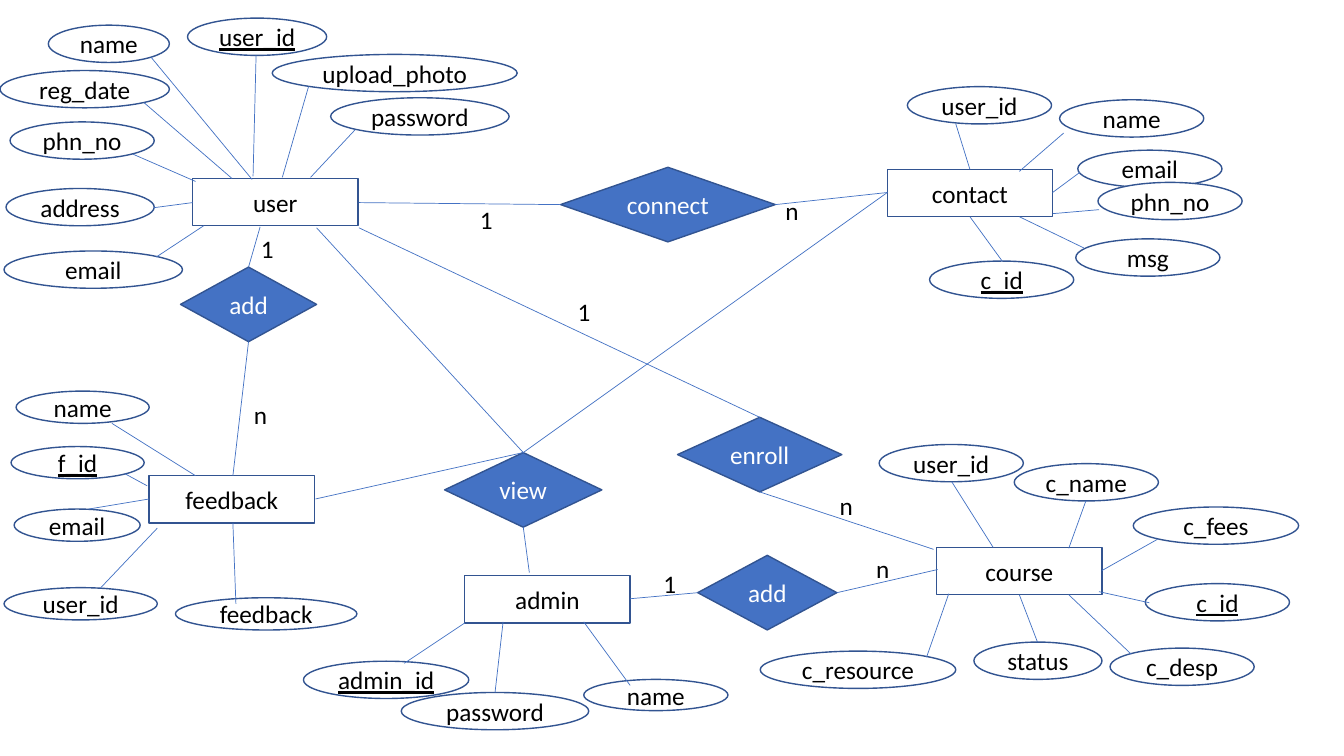
from pptx import Presentation
from pptx.dml.color import RGBColor
from pptx.enum.shapes import MSO_CONNECTOR, MSO_SHAPE as Shape
from pptx.enum.text import MSO_ANCHOR, PP_ALIGN
from pptx.oxml.ns import qn
from pptx.util import Inches, Pt
from lxml.etree import SubElement

COLORS = {"paper": "FFFFFF", "ink": "000000", "edge": "325491", "accent": "4472C4"}
FONT = {"name": "Calibri", "size": Pt(18)}
ENTITY_W, ENTITY_H, DIAMOND_H, LABEL_H = 1.64, 0.47, 0.74, 0.4
KEYS = {("user", "user_id"), ("feedback", "f_id"), ("contact", "c_id"),
        ("admin", "admin_id"), ("course", "c_id")}

# Entities: (left, top), attribute height,
# attributes: name, left, top, width, line end at attribute, line end at entity
ENTITIES = {
    "user": ((1.91, 1.77), 0.37, [
        ("reg_date", 0, 0.7, 1.68, (1.43, 1.02), (2.3, 1.77)),
        ("phn_no", 0.1, 1.21, 1.43, (1.32, 1.53), (1.94, 1.8)),
        ("address", 0.06, 1.87, 1.47, (1.53, 2.06), (1.91, 2.01)),
        ("email", 0.04, 2.49, 1.77, (1.55, 2.55), (2.02, 2.24)),
        ("name", 0.48, 0.25, 1.2, (1.5, 0.57), (2.5, 1.78)),
        ("upload_photo", 2.7, 0.54, 2.43, (3.06, 0.86), (2.8, 1.76)),
        ("user_id", 1.86, 0.18, 1.38, (2.54, 0.55), (2.51, 1.75)),
        ("password", 3.28, 0.97, 1.77, (3.52, 1.29), (3.08, 1.76)),
    ]),
    "contact": ((8.8, 1.68), 0.37, [
        ("user_id", 9, 0.86, 1.43, (9.48, 1.23), (9.62, 1.68)),
        ("name", 10.51, 0.99, 1.43, (10.55, 1.32), (10.11, 1.7)),
        ("msg", 10.67, 2.37, 1.43, (10.75, 2.46), (10.11, 2.15)),
        ("email", 10.69, 1.49, 1.43, (10.71, 1.71), (10.44, 1.91)),
        ("phn_no", 10.89, 1.81, 1.43, (10.9, 2.08), (10.44, 2.12)),
        ("c_id", 9.22, 2.59, 1.43, (9.94, 2.59), (9.62, 2.15)),
    ]),
    "feedback": ((1.48, 4.72), 0.32, [
        ("name", 0.16, 3.88, 1.32, (1.11, 4.2), (1.94, 4.72)),
        ("f_id", 0.11, 4.43, 1.32, (1.24, 4.7), (1.46, 4.82)),
        ("email", 0.14, 5.05, 1.25, (0.88, 5.05), (1.48, 4.95)),
        ("user_id", 0.04, 5.83, 1.52, (1, 5.83), (1.56, 5.24)),
        ("feedback", 1.74, 5.93, 1.8, (2.34, 5.99), (2.31, 5.19)),
    ]),
    "admin": ((4.61, 5.71), 0.37, [
        ("name", 5.79, 6.74, 1.43, (6.25, 6.8), (5.79, 6.17)),
        ("password", 3.98, 6.87, 1.86, (4.91, 6.87), (4.99, 6.17)),
        ("admin_id", 3.01, 6.56, 1.64, (4.01, 6.58), (4.61, 6.18)),
    ]),
    "course": ((9.29, 5.43), 0.37, [
        ("c_name", 10.06, 4.6, 1.43, (10.77, 4.97), (10.6, 5.44)),
        ("status", 9.66, 6.37, 1.27, (10.29, 6.37), (10.11, 5.9)),
        ("c_fees", 11.24, 5.03, 1.64, (11.48, 5.35), (10.93, 5.66)),
        ("user_id", 8.72, 4.41, 1.43, (9.44, 4.78), (9.85, 5.43)),
        ("c_id", 11.36, 5.79, 1.43, (11.4, 5.98), (10.9, 5.87)),
        ("c_resource", 7.54, 6.46, 1.94, (9.19, 6.52), (9.41, 5.89)),
        ("c_desp", 11.01, 6.43, 1.43, (11.22, 6.49), (10.6, 5.9)),
    ]),
}
LOW_ATTRIBUTES = {("admin", "name"): 0.31}

# Relations: name, left, top, width, links as (corner, line end at entity)
RELATIONS = [
    ("add", 1.79, 2.65, 1.35, [("top", (2.58, 2.25)), ("bottom", (2.31, 4.72))]),
    ("connect", 5.56, 1.66, 2.13, [("left", (3.56, 2.01)), ("right", (8.8, 1.91))]),
    ("view", 4.41, 4.49, 1.56, [("top", (3.13, 4.95)), ("top", (3.14, 2.26)),
                                ("top", (8.8, 1.91)), ("bottom", (5.25, 5.68))]),
    ("enroll", 6.72, 4.14, 1.63, [("top", (3.56, 2.26)), ("bottom", (9.26, 5.45))]),
    ("add", 6.92, 5.51, 1.38, [("left", (6.25, 5.94)), ("right", (9.3, 5.65))]),
]
CORNERS = {"top": (0.5, 0), "bottom": (0.5, 1), "left": (0, 0.5), "right": (1, 0.5)}

# Cardinalities: text, left, top, width
CARDINALITIES = [
    ("1", 2.49, 2.27, 0.28), ("1", 4.66, 1.98, 0.28), ("n", 7.69, 1.89, 0.28),
    ("n", 2.42, 3.91, 0.28), ("1", 6.48, 5.59, 0.35), ("n", 8.59, 5.44, 0.32),
    ("1", 5.63, 2.89, 0.28), ("n", 8.23, 4.82, 0.28),
]


def color(name):
    return RGBColor.from_string(COLORS[name])


def write(sp, text, ink="ink", underline=None):
    r = sp.text_frame.paragraphs[0].add_run()
    r.text = text
    for key, value in {**FONT, "underline": underline}.items():
        setattr(r.font, key, value)
    r.font.color.rgb = color(ink)


def add_node(s, kind, text, box, fill="paper", ink="ink", underline=None):
    sp = s.shapes.add_shape(kind, *map(Inches, box))
    sp.shadow.inherit = False
    sp.fill.solid()
    sp.fill.fore_color.rgb = color(fill)
    sp.line.color.rgb = color("edge")
    sp.line.width = Pt(1)
    sp.text_frame.vertical_anchor = MSO_ANCHOR.MIDDLE
    sp.text_frame.paragraphs[0].alignment = PP_ALIGN.CENTER
    write(sp, text, ink, underline)


def add_link(s, start, end):
    line = s.shapes.add_connector(MSO_CONNECTOR.STRAIGHT, *map(Inches, (*start, *end)))
    line.line.color.rgb = color("accent")
    line.line.width = Pt(0.5)
    SubElement(line._element.spPr, qn("a:effectLst"))


def main():
    prs = Presentation()
    prs.slide_width, prs.slide_height = Inches(13.33), Inches(7.5)
    s = prs.slides.add_slide(prs.slide_layouts[6])
    links = []

    # Entities and their attributes
    for entity, (corner, height, attributes) in ENTITIES.items():
        add_node(s, Shape.RECTANGLE, entity, (*corner, ENTITY_W, ENTITY_H))
        for name, left, top, width, start, end in attributes:
            h = LOW_ATTRIBUTES.get((entity, name), height)
            add_node(s, Shape.OVAL, name, (left, top, width, h),
                     underline=(entity, name) in KEYS or None)
            links.append((start, end))

    # Relations
    for name, left, top, width, ends in RELATIONS:
        add_node(s, Shape.FLOWCHART_DECISION, name, (left, top, width, DIAMOND_H),
                 "accent", "paper")
        for side, end in ends:
            x, y = CORNERS[side]
            links.append(((left + x * width, top + y * DIAMOND_H), end))

    # Lines
    for start, end in links:
        add_link(s, start, end)

    # Cardinalities
    for text, left, top, width in CARDINALITIES:
        box = s.shapes.add_textbox(*map(Inches, (left, top, width, LABEL_H)))
        box.text_frame.word_wrap = True
        write(box, text)

    prs.save("out.pptx")


if __name__ == "__main__":
    main()
